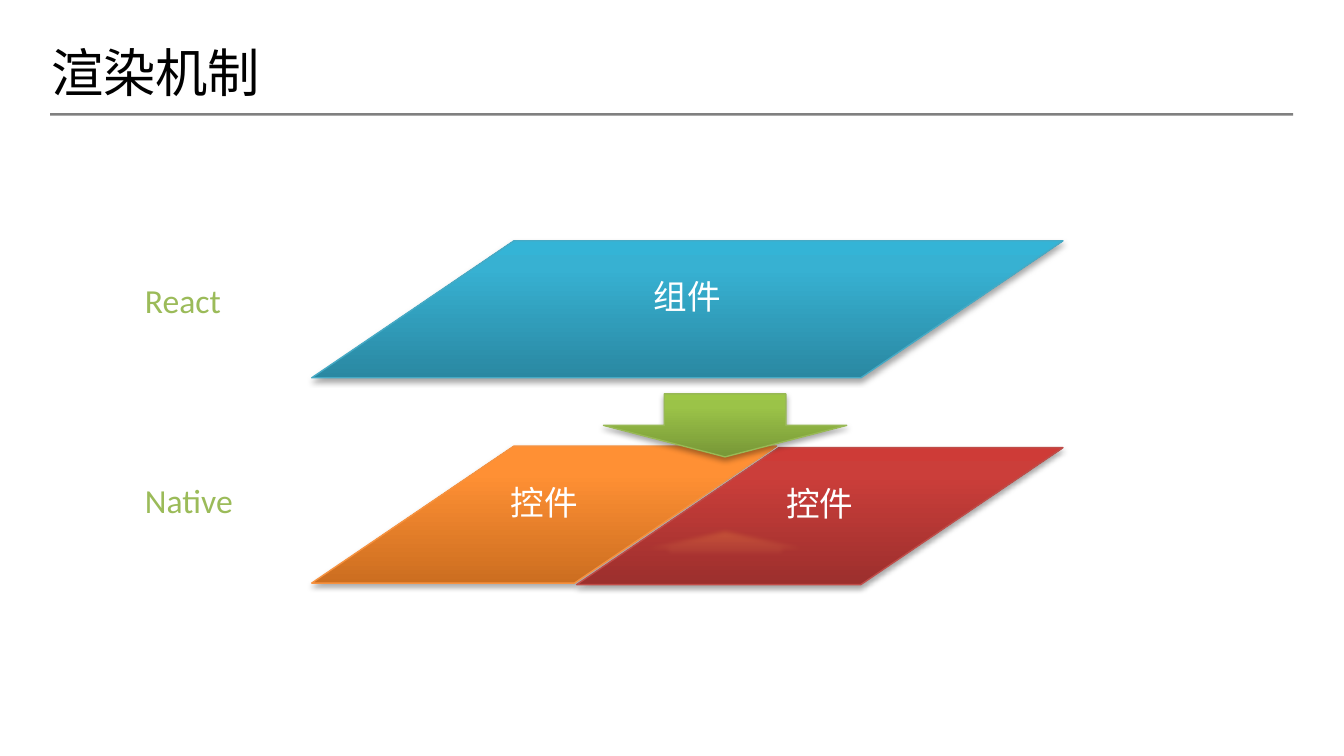
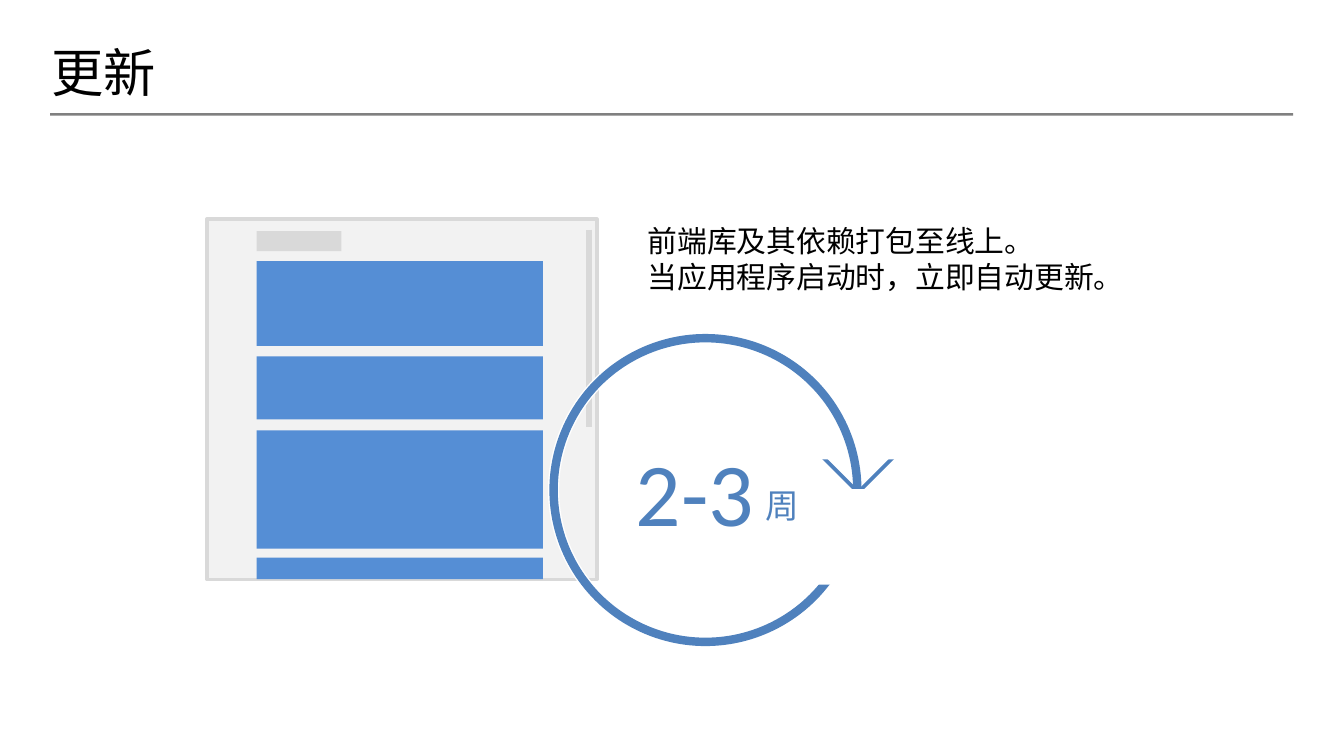
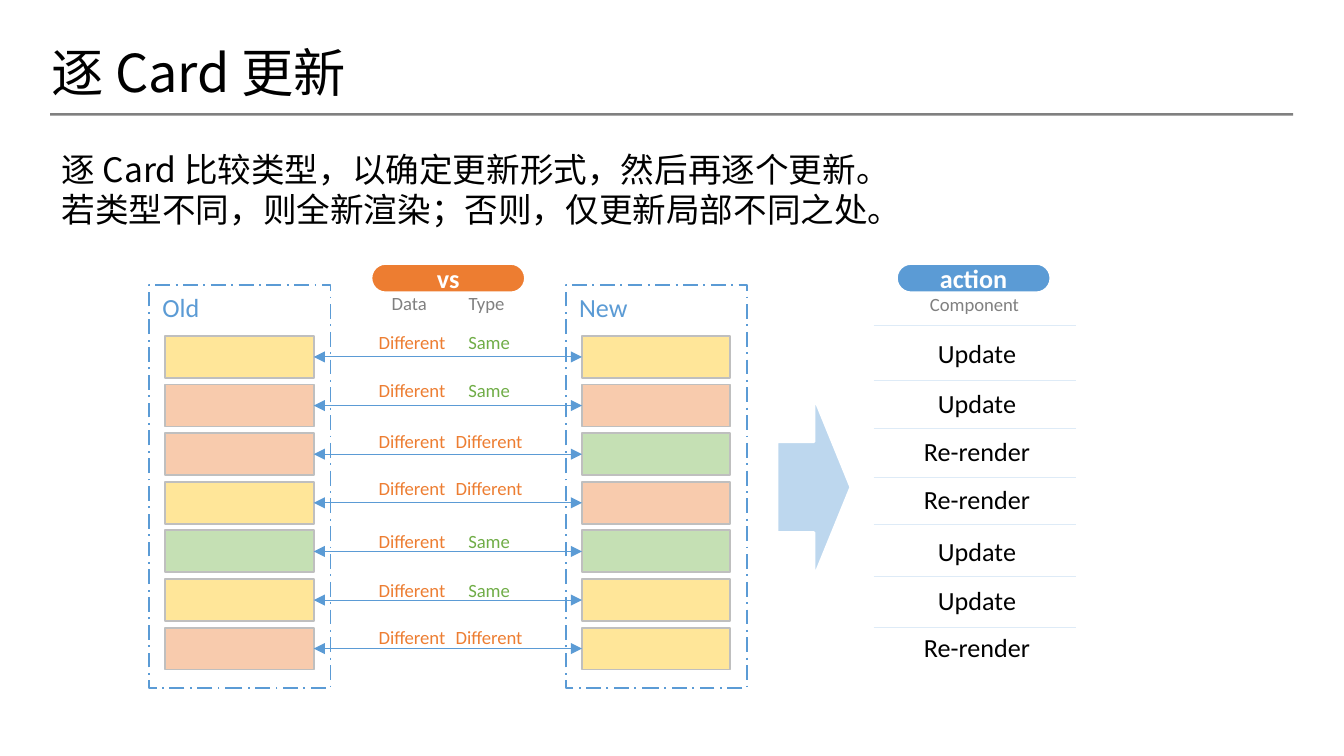
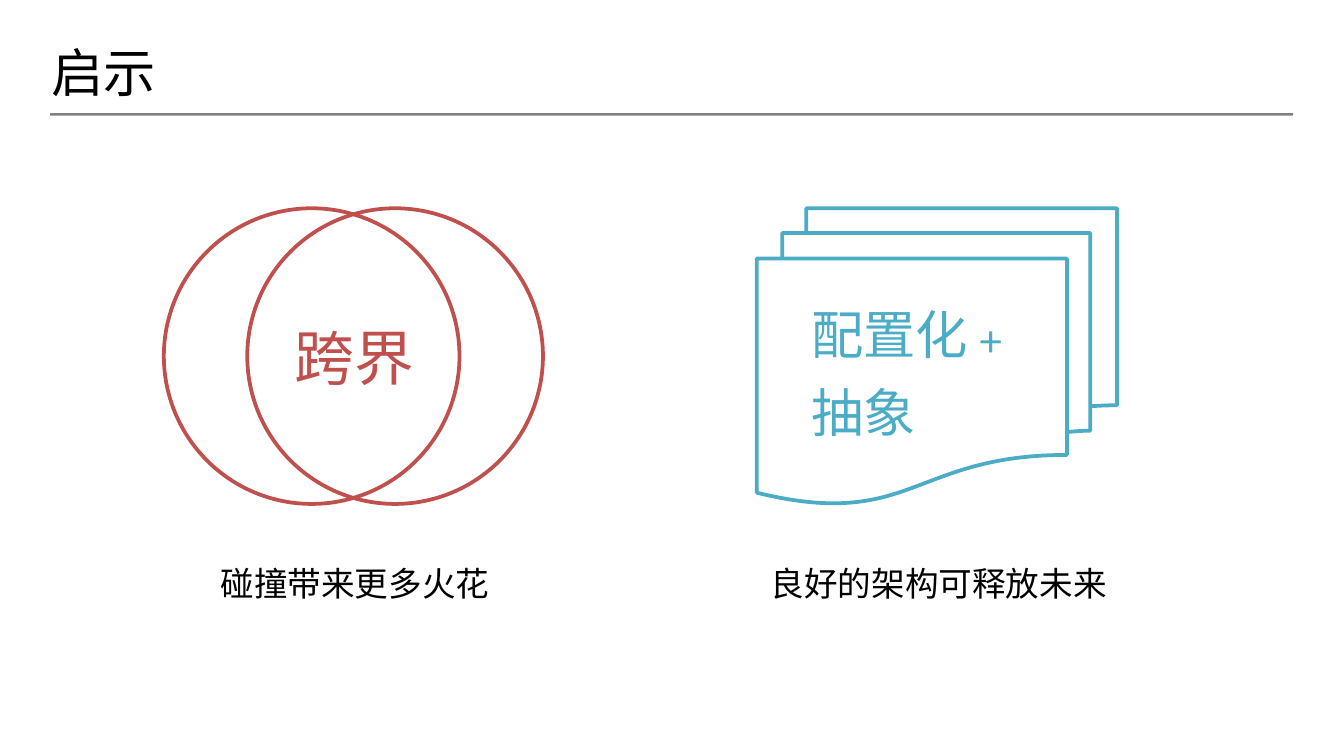
from dataclasses import dataclass
from typing import NamedTuple

from lxml import etree
from pptx import Presentation
from pptx import util as u
from pptx.dml.color import RGBColor
from pptx.enum import dml, lang, shapes, text
from pptx.oxml.ns import qn

SHAPE = shapes.MSO_SHAPE
ALIGN = text.PP_ALIGN
ANCHOR = text.MSO_ANCHOR


@dataclass(frozen=True)
class Theme:
    latin: str = "Calibri"
    cjk: str = "Noto Sans CJK SC"
    # Colours
    black: str = "000000"
    white: str = "FFFFFF"
    gray: str = "808080"
    panel: str = "F2F2F2"
    panel_edge: str = "D9D9D9"
    content_blue: str = "558ED5"
    cycle_blue: str = "4F81BD"
    layer_green: str = "9BBB59"
    diff_blue: str = "5B9BD5"
    diff_orange: str = "ED7D31"
    diff_green: str = "70AD47"
    pale_blue: str = "BDD7EE"
    divider: str = "DEEBF7"
    card_edge: str = "BFBFBF"
    yellow: str = "FFE699"
    salmon: str = "F8CBAD"
    mint: str = "C5E0B4"
    red: str = "C0504D"
    teal: str = "4BACC6"
    # Type sizes
    title: int = 28
    body: int = 18
    note: int = 16
    label: int = 14
    small: int = 10
    plus: int = 24
    venn: int = 32
    figure: int = 48


T = Theme()


class Box(NamedTuple):
    """Left, top, width and height in points."""
    left: float
    top: float
    width: float
    height: float

    def lengths(self) -> list:
        return [u.Pt(value) for value in self]


class Stop(NamedTuple):
    percent: int
    color: str
    alpha: int = 100


@dataclass(frozen=True)
class Layer:
    """A glossy shape: stops run from its bottom to its top."""
    kind: int
    box: Box
    stops: tuple
    edge: str
    caption: str = ""


@dataclass(frozen=True)
class Row:
    """One compared pair of cards with its result."""
    old: str
    new: str
    same_type: bool
    label_top: float
    action_top: float
    divider_top: float


# ---- Shared drawing functions ----

def write(frame, content: str, *, size: float, color: str = T.black,
          font: str = T.cjk, align=ALIGN.LEFT, anchor=ANCHOR.TOP,
          bold: bool = False, wrap: bool = True, grow: bool = False,
          insets: tuple = (7.2, 3.6, 7.2, 3.6)) -> None:
    """Fill a text frame, one paragraph for each line of content."""
    frame.word_wrap = wrap
    frame.auto_size = (text.MSO_AUTO_SIZE.SHAPE_TO_FIT_TEXT if grow
                       else text.MSO_AUTO_SIZE.NONE)
    frame.vertical_anchor = anchor
    (frame.margin_left, frame.margin_top,
     frame.margin_right, frame.margin_bottom) = map(u.Pt, insets)
    for index, line in enumerate(content.split("\n")):
        paragraph = frame.add_paragraph() if index else frame.paragraphs[0]
        paragraph.alignment = align
        run = paragraph.add_run()
        run.text = line
        run.font.size = u.Pt(size)
        run.font.bold = bold
        run.font.color.rgb = RGBColor.from_string(color)
        run.font.name = font
        if font == T.cjk:
            run.font.language_id = lang.MSO_LANGUAGE_ID.SIMPLIFIED_CHINESE
            # Keeps the line pitch of the Latin face
            etree.SubElement(run.font._element, qn("a:ea"), typeface=T.latin)


def add_text(slide, box: Box, content: str, *, wrap: bool = False, **style):
    label = slide.shapes.add_textbox(*box.lengths())
    write(label.text_frame, content, wrap=wrap, grow=True, **style)
    return label


def add_figure(slide, kind, box: Box, *, fill: str = "", edge: str = "",
               weight: float = 1):
    figure = slide.shapes.add_shape(kind, *box.lengths())
    figure.shadow.inherit = False
    if fill:
        figure.fill.solid()
        figure.fill.fore_color.rgb = RGBColor.from_string(fill)
    else:
        figure.fill.background()
    if edge:
        figure.line.color.rgb = RGBColor.from_string(edge)
        figure.line.width = u.Pt(weight)
    else:
        figure.line.fill.background()
    return figure


def add_line(slide, start: tuple, end: tuple, color: str, weight: float):
    line = slide.shapes.add_connector(
        shapes.MSO_CONNECTOR.STRAIGHT, *map(u.Pt, (*start, *end)))
    line.line.color.rgb = RGBColor.from_string(color)
    line.line.width = u.Pt(weight)
    etree.SubElement(line._element.spPr, qn("a:effectLst"))
    return line


def set_gradient(figure, stops: tuple, angle: float) -> None:
    figure.fill.gradient()
    figure.fill.gradient_angle = angle
    stop_list = figure._element.spPr.find(qn("a:gradFill")).find(qn("a:gsLst"))
    for old_stop in list(stop_list):
        stop_list.remove(old_stop)
    for stop in stops:
        entry = etree.SubElement(stop_list, qn("a:gs"),
                                 pos=str(stop.percent * 1000))
        color = etree.SubElement(entry, qn("a:srgbClr"), val=stop.color)
        if stop.alpha < 100:
            etree.SubElement(color, qn("a:alpha"), val=str(stop.alpha * 1000))


def add_effect(figure, tag: str, **attributes: str):
    effects = figure._element.spPr.find(qn("a:effectLst"))
    return etree.SubElement(effects, qn(tag), **attributes)


def add_slide(deck, title: str):
    """Title-only slide with the common heading and rule."""
    slide = deck.slides.add_slide(deck.slide_layouts[5])
    add_figure(slide, SHAPE.RECTANGLE, Box(26.8, 60.6, 666, 1.4), fill=T.gray)
    heading = slide.shapes.title
    heading.left, heading.top, heading.width, heading.height = Box(
        20.2, 16.6, 663, 38.9).lengths()
    write(heading.text_frame, title, size=T.title, anchor=ANCHOR.MIDDLE,
          insets=(7.2, 8.6, 7.2, 3.6))
    return slide


# ---- Slide 1: rendering layers ----

LAYERS = (
    Layer(SHAPE.PARALLELOGRAM, Box(167, 129, 402.5, 73.4),
          (Stop(0, "2A88A2"), Stop(80, "37B1D2"), Stop(100, "34B4D6")),
          "46AAC5", "组件"),
    Layer(SHAPE.PARALLELOGRAM, Box(167, 239, 249.1, 73.4),
          (Stop(0, "CC6E20"), Stop(80, "FF9034"), Stop(100, "FF9136")),
          "F69240", "控件"),
    Layer(SHAPE.PARALLELOGRAM, Box(308.9, 239.8, 260.6, 73.4),
          (Stop(0, "9C2F2D"), Stop(80, "CB3E3A"), Stop(100, "CE3B37")),
          "BF4C48", "控件"),
    Layer(SHAPE.DOWN_ARROW, Box(323.3, 211, 130.3, 33.8),
          (Stop(0, "779737"), Stop(80, "9BC348"), Stop(100, "9DC746")),
          "98B955"),
)


def draw_layer(slide, layer: Layer) -> None:
    figure = add_figure(slide, layer.kind, layer.box, edge=layer.edge,
                        weight=0.75)
    set_gradient(figure, layer.stops, 90)
    shadow = add_effect(figure, "a:outerShdw", blurRad="40000", dist="23000",
                        dir="5400000", rotWithShape="0")
    color = etree.SubElement(shadow, qn("a:srgbClr"), val=T.black)
    etree.SubElement(color, qn("a:alpha"), val="35000")
    if layer.caption:
        figure.adjustments[0] = 1.476
        write(figure.text_frame, layer.caption, size=T.body, color=T.white,
              align=ALIGN.CENTER, anchor=ANCHOR.MIDDLE,
              insets=(7.2, 3.6, 7.2, 17.3))


def build_rendering(deck) -> None:
    slide = add_slide(deck, "渲染机制")
    for layer in LAYERS:
        draw_layer(slide, layer)
    # Faint reflection of the arrow
    reflection = add_figure(slide, SHAPE.DOWN_ARROW,
                            Box(323.3, 282.2, 130.3, 28.1))
    set_gradient(reflection, (Stop(40, "FAA263", 0), Stop(100, "E58435", 40)),
                 270)
    reflection._element.spPr.find(qn("a:xfrm")).set("flipV", "1")
    add_effect(reflection, "a:softEdge", rad="31750")
    for name, top, width in (("React", 146.2, 55.4), ("Native", 253.4, 61.9)):
        add_text(slide, Box(70.6, top, width, 28.8), name, size=T.body,
                 color=T.layer_green, font=T.latin)


# ---- Slide 2: update cycle ----

def build_update(deck) -> None:
    slide = add_slide(deck, "更新")
    # Page sketch with content blocks and a scroll bar
    add_figure(slide, SHAPE.RECTANGLE, Box(110.9, 117.4, 208.8, 193),
               fill=T.panel, edge=T.panel_edge, weight=2)
    for top, height in ((139.9, 45.4), (190.9, 33.8), (230.6, 63.4),
                        (298.7, 11.6)):
        add_figure(slide, SHAPE.RECTANGLE, Box(137.5, top, 153.4, height),
                   fill=T.content_blue)
    add_figure(slide, SHAPE.RECTANGLE, Box(137.5, 123.8, 45.4, 10.8),
               fill=T.panel_edge)
    add_line(slide, (315.4, 123.1), (315.4, 229), T.panel_edge, 3)
    # Cycle arrow: white masks cut the square and the ring
    ring = Box(296.6, 181.2, 162.7, 162.7)
    add_figure(slide, SHAPE.OVAL, ring, edge=T.white, weight=6)
    arrow_tip = add_figure(slide, SHAPE.RECTANGLE,
                           Box(445, 228.2, 29.5, 29.5),
                           edge=T.cycle_blue, weight=2)
    arrow_tip.rotation = 45
    add_figure(slide, SHAPE.RECTANGLE, Box(435.6, 206.6, 49, 39.6),
               fill=T.white)
    add_figure(slide, SHAPE.OVAL, ring, edge=T.cycle_blue, weight=4.5)
    add_figure(slide, SHAPE.RECTANGLE, Box(436.3, 262.1, 65.5, 51.1),
               fill=T.white)
    add_text(slide, Box(314.6, 230.4, 96.5, 65.5), "2-3", size=T.figure,
             color=T.cycle_blue, font=T.latin, align=ALIGN.RIGHT, wrap=True)
    add_text(slide, Box(403.2, 256.3, 32.4, 28.8), "周", size=T.body,
             color=T.cycle_blue, wrap=True)
    add_text(slide, Box(339.8, 115.9, 272.9, 46.1),
             "前端库及其依赖打包至线上。\n当应用程序启动时，立即自动更新。",
             size=T.note)


# ---- Slide 3: card by card comparison ----

ROWS = (
    Row(T.yellow, T.yellow, True, 173.5, 177.1, 174.2),
    Row(T.salmon, T.salmon, True, 199.4, 203.8, 203.8),
    Row(T.salmon, T.mint, False, 226.8, 229.7, 229.7),
    Row(T.yellow, T.salmon, False, 252, 255.6, 255.6),
    Row(T.mint, T.mint, True, 280.1, 283, 280.8),
    Row(T.yellow, T.yellow, True, 306.7, 309.6, 308.9),
    Row(T.salmon, T.yellow, False, 331.9, 334.8, 336.2),
)
CARD_TOP, CARD_PITCH = 180, 26.04


def add_column(slide, left: float, name: str, colors: list) -> list:
    frame = add_figure(slide, SHAPE.RECTANGLE, Box(left, 152.6, 97.2, 216),
                       edge=T.diff_blue)
    frame.line.dash_style = dml.MSO_LINE.LONG_DASH_DOT
    write(frame.text_frame, name, size=T.label, color=T.diff_blue,
          font=T.latin)
    return [add_figure(slide, SHAPE.RECTANGLE,
                       Box(left + 8.7, CARD_TOP + i * CARD_PITCH, 79.5, 22.5),
                       fill=color, edge=T.card_edge)
            for i, color in enumerate(colors)]


def add_match_arrow(slide, old_card, new_card) -> None:
    arrow = add_line(slide, (0, 0), (0, 0), T.diff_blue, 0.5)
    arrow.begin_connect(old_card, 3)
    arrow.end_connect(new_card, 1)
    outline = arrow._element.spPr.find(qn("a:ln"))
    for end in ("a:headEnd", "a:tailEnd"):
        etree.SubElement(outline, qn(end), type="triangle")


def add_centered(slide, center: float, top: float, content: str,
                 width: float, size: float, color: str) -> None:
    add_text(slide, Box(center - width / 2, top, width, 2 * size - 2),
             content, size=size, color=color, font=T.latin,
             align=ALIGN.CENTER)


def add_pill(slide, left: float, caption: str, color: str) -> None:
    pill = add_figure(slide, SHAPE.ROUNDED_RECTANGLE,
                      Box(left, 141.1, 82.8, 15.8), fill=color,
                      edge=T.white, weight=1.5)
    pill.adjustments[0] = 0.5
    write(pill.text_frame, caption, size=T.label, color=T.white,
          font=T.latin, bold=True, align=ALIGN.CENTER, anchor=ANCHOR.MIDDLE,
          insets=(2.9, 0, 2.9, 0))


def build_comparison(deck) -> None:
    slide = add_slide(deck, "逐 Card 更新")
    old_cards = add_column(slide, 79.9, "Old", [row.old for row in ROWS])
    new_cards = add_column(slide, 303.1, "New", [row.new for row in ROWS])
    for old_card, new_card in zip(old_cards, new_cards):
        add_match_arrow(slide, old_card, new_card)
    # Column heads
    add_centered(slide, 219.2, 152.6, "Data", 33.8, T.small, T.gray)
    add_centered(slide, 260.6, 152.6, "Type", 34.6, T.small, T.gray)
    add_centered(slide, 522, 153.4, "Component", 63.4, T.small, T.gray)
    add_pill(slide, 198.7, "vs", T.diff_orange)
    add_pill(slide, 480.2, "action", T.diff_blue)
    add_figure(slide, SHAPE.RIGHT_ARROW, Box(416.2, 212.4, 39.6, 97.2),
               fill=T.pale_blue, edge=T.white, weight=1.5)
    # Results of each row
    for row in ROWS:
        add_centered(slide, 220.7, row.label_top, "Different", 51.1,
                     T.small, T.diff_orange)
        kind, kind_width, kind_color, action, action_width = (
            ("Same", 37.4, T.diff_green, "Update", 56.9) if row.same_type
            else ("Different", 51.1, T.diff_orange, "Re-render", 72))
        add_centered(slide, 262, row.label_top, kind, kind_width, T.small,
                     kind_color)
        add_centered(slide, 523.4, row.action_top, action, action_width,
                     T.label, T.black)
        add_line(slide, (468, row.divider_top), (576.7, row.divider_top),
                 T.divider, 0.5)
    add_text(slide, Box(25.9, 76.3, 663, 51.1),
             "逐 Card 比较类型，以确定更新形式，然后再逐个更新。\n"
             "若类型不同，则全新渲染；否则，仅更新局部不同之处。",
             size=T.body, wrap=True)


# ---- Slide 4: lessons ----

def build_lessons(deck) -> None:
    slide = add_slide(deck, "启示")
    for left in (132.5, 87.8):
        add_figure(slide, SHAPE.OVAL, Box(left, 111.6, 158.4, 158.4),
                   edge=T.red, weight=2)
    add_text(slide, Box(150.5, 168.5, 79.2, 46.1), "跨界", size=T.venn,
             color=T.red, align=ALIGN.CENTER)
    for left, width, caption in ((110.2, 159.8, "碰撞带来更多火花"),
                                 (404.6, 196.6, "良好的架构可释放未来")):
        add_text(slide, Box(left, 298.1, width, 28.8), caption, size=T.body,
                 align=ALIGN.CENTER)
    add_figure(slide, SHAPE.FLOWCHART_MULTIDOCUMENT,
               Box(405.4, 111.6, 193, 158.4), edge=T.teal, weight=2)
    add_text(slide, Box(427.7, 200.2, 71.3, 41), "抽象", size=T.title,
             color=T.teal)
    add_text(slide, Box(427.7, 158.4, 99.4, 41), "配置化", size=T.title,
             color=T.teal)
    add_text(slide, Box(517.7, 163.4, 26.6, 36), "+", size=T.plus,
             color=T.teal, font=T.latin)


def main() -> None:
    deck = Presentation()
    deck.slide_width, deck.slide_height = u.Pt(720), u.Pt(405)
    for build in (build_rendering, build_update, build_comparison,
                  build_lessons):
        build(deck)
    deck.save("out.pptx")


if __name__ == "__main__":
    main()
